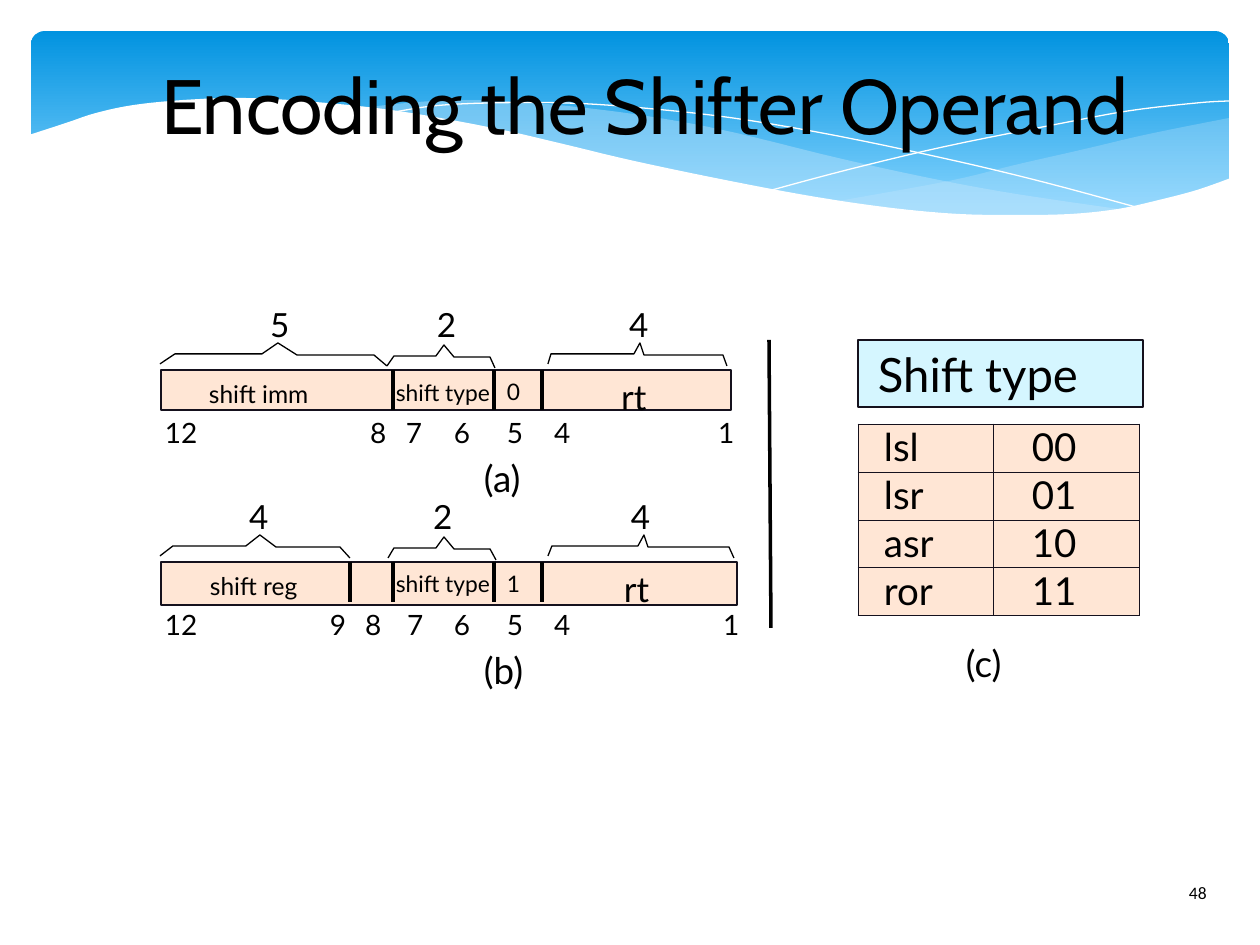
from dataclasses import dataclass

import pptx
import pptx.dml.color
import pptx.enum.shapes
import pptx.enum.text
import pptx.oxml
import pptx.oxml.ns
import pptx.util

RGBColor = pptx.dml.color.RGBColor
Point = tuple[float, float]

BLACK = RGBColor(0x00, 0x00, 0x00)
WHITE = RGBColor(0xFF, 0xFF, 0xFF)
OUTLINE = RGBColor(0x15, 0x11, 0x1D)
PEACH = RGBColor(0xFF, 0xE6, 0xD5)
AQUA = RGBColor(0xD5, 0xF6, 0xFF)
SKY_TOP = RGBColor(0x02, 0x93, 0xE0)
SKY_BOTTOM = RGBColor(0x83, 0xD3, 0xFE)
WAVE = RGBColor(0xC6, 0xE7, 0xFC)
PIXELS_PER_INCH = 126
BODY_FONT = "Lato"


@dataclass
class Label:
    left: int
    top: int
    text: str
    size: int


@dataclass
class Brace:
    xs: list[int]
    drop: int = 0


@dataclass
class Encoding:
    top: int
    width: int
    height: int
    dividers: list[int]
    braces: list[Brace]
    counts: list[tuple[int, str]]
    bits: list[tuple[int, str]]
    fields: list[Label]
    caption: str


ENCODINGS = [
    Encoding(370, 570, 40, [393, 494, 542],
             [Brace([160, 175, 262, 278, 297, 374, 387]),
              Brace([387, 394, 436, 444, 454, 490, 495], 2),
              Brace([548, 551, 634, 640, 644, 723, 727])],
             [(270, "5"), (437, "2"), (629, "4")],
             [(165, "12"), (370, "8"), (406, "7"), (454, "6"), (507, "5"), (554, "4"), (718, "1")],
             [Label(209, 9, "shift imm", 14), Label(396, 9, "shift type", 13),
              Label(507, 8, "0", 13), Label(621, 5, "rt", 20)], "(a)"),
    Encoding(562, 576, 43, [350, 393, 494, 542],
             [Brace([160, 173, 246, 260, 276, 340, 350]),
              Brace([388, 394, 436, 444, 454, 490, 496], 2),
              Brace([548, 552, 638, 644, 648, 729, 734])],
             [(249, "4"), (433, "2"), (631, "4")],
             [(165, "12"), (330, "9"), (365, "8"), (407, "7"), (454, "6"), (507, "5"),
              (554, "4"), (723, "1")],
             [Label(210, 9, "shift reg", 14), Label(396, 8, "shift type", 13),
              Label(507, 8, "1", 13), Label(624, 5, "rt", 20)], "(b)"),
]
BRACE_RISE = [-6, -16, -16, -27, -15, -15, -4]
SHIFT_CODES = [("lsl", "00"), ("lsr", "01"), ("asr", "10"), ("ror", "11")]

RIGHT_WAVE_TOP = [(1229, 118), (1149, 134), (1085, 149), (1015, 165), (949, 181), (833, 202)]
RIGHT_WAVE_BOTTOM = [(833, 202), (922, 211), (1012, 217), (1100, 214), (1160, 202),
                     (1196, 191), (1229, 179)]
LEFT_WAVE_TOP = [(1125, 210), (1016, 194), (934, 179), (842, 159), (736, 133), (665, 119),
                 (586, 108), (503, 101), (433, 101), (360, 108)]
LEFT_WAVE_BOTTOM = [(360, 108), (456, 122), (566, 146), (713, 180), (819, 199), (911, 212),
                    (989, 217), (1043, 218), (1125, 210)]
FALLING_LINE = [(389, 113), (433, 106), (488, 103), (567, 103), (643, 108), (733, 118),
                (838, 136), (956, 161), (1047, 183), (1143, 209)]
RISING_LINE = [(772, 190), (847, 170), (943, 147), (1053, 125), (1128, 111), (1197, 103),
               (1229, 101)]
LOWER_EDGE = [(1231, 178), (1197, 190), (1159, 200), (1118, 209), (1071, 214), (1019, 215),
              (959, 214), (892, 208), (816, 197), (730, 181), (634, 161), (563, 144), (493, 128),
              (398, 111), (315, 102), (243, 98), (184, 100), (134, 105), (96, 113), (66, 123),
              (29, 135)]


def px(value: float) -> int:
    return round(value * 914400 / PIXELS_PER_INCH)


def smooth(points: list[Point], steps: int = 5) -> list[Point]:
    """Run a Catmull-Rom curve through the points."""
    padded = [points[0], *points, points[-1]]
    curve = [points[0]]
    for a, b, c, d in zip(padded, padded[1:], padded[2:], padded[3:]):
        for step in range(1, steps + 1):
            t = step / steps
            curve.append(tuple(
                b[i] + t / 2 * (c[i] - a[i] + t * (2 * a[i] - 5 * b[i] + 4 * c[i] - d[i]
                                                  + t * (3 * (b[i] - c[i]) + d[i] - a[i])))
                for i in (0, 1)))
    return curve


def style(shape, fill: RGBColor | None, line: RGBColor | None, alpha: int = 100) -> None:
    shape.shadow.inherit = False
    if fill is None:
        shape.fill.background()
    else:
        shape.fill.solid()
        shape.fill.fore_color.rgb = fill
        if alpha < 100:
            color = shape.fill._xPr.find(".//" + pptx.oxml.ns.qn("a:srgbClr"))
            color.append(pptx.oxml.parse_xml(
                f'<a:alpha {pptx.oxml.ns.nsdecls("a")} val="{alpha * 1000}"/>'))
    if line is None:
        shape.line.fill.background()
    else:
        shape.line.color.rgb = line
        shape.line.width = pptx.util.Pt(0)


def add_outline(points: list[Point], fill: RGBColor | None = None,
                line: RGBColor | None = None, alpha: int = 100) -> None:
    corners = [(px(x), px(y)) for x, y in points]
    builder = slide.shapes.build_freeform(*corners[0], scale=1.0)
    builder.add_line_segments(corners[1:], close=fill is not None)
    style(builder.convert_to_shape(), fill, line, alpha)


def add_box(left: int, top: int, width: int, height: int, fill: RGBColor) -> None:
    box = slide.shapes.add_shape(pptx.enum.shapes.MSO_SHAPE.RECTANGLE,
                                 px(left), px(top), px(width), px(height))
    style(box, fill, OUTLINE)


def add_line(x1: int, y1: int, x2: int, y2: int) -> None:
    line = slide.shapes.add_connector(pptx.enum.shapes.MSO_CONNECTOR.STRAIGHT,
                                      px(x1), px(y1), px(x2), px(y2))
    line.line.color.rgb = BLACK
    line.line.width = pptx.util.Pt(0)
    line._element.spPr.append(pptx.oxml.parse_xml(
        f'<a:effectLst {pptx.oxml.ns.nsdecls("a")}/>'))


def format_runs(text_frame, size: int, font: str = BODY_FONT) -> None:
    for paragraph in text_frame.paragraphs:
        for run in paragraph.runs:
            run.font.size = pptx.util.Pt(size)
            run.font.name = font
            run.font.bold = False
            run.font.color.rgb = BLACK


def clear_margins(text_frame) -> None:
    text_frame.margin_left = text_frame.margin_right = 0
    text_frame.margin_top = text_frame.margin_bottom = 0


def add_label(left: int, top: int, text: str, size: int, font: str = BODY_FONT) -> None:
    box = slide.shapes.add_textbox(px(left), px(top), px((len(text) + 1) * size * 0.9),
                                   px(size * 2.3))
    clear_margins(box.text_frame)
    box.text_frame.word_wrap = False
    box.text_frame.text = text
    format_runs(box.text_frame, size, font)


def add_encoding(encoding: Encoding) -> None:
    top = encoding.top
    add_box(161, top, encoding.width, encoding.height, PEACH)
    for x in encoding.dividers:
        add_line(x, top, x, top + 40)
    for brace in encoding.braces:
        add_outline([(x, top + rise + brace.drop) for x, rise in zip(brace.xs, BRACE_RISE)],
                    line=BLACK)
    for left, text in encoding.counts:
        add_label(left, top - 66, text, 19)
    for left, text in encoding.bits:
        add_label(left, top + 46, text, 16)
    for field in encoding.fields:
        add_label(field.left, top + field.top, field.text, field.size)
    add_label(484, top + 86, encoding.caption, 21)


def add_shift_table() -> None:
    table = slide.shapes.add_table(len(SHIFT_CODES), 2, px(858), px(424), px(281), px(192)).table
    table.first_row = table.horz_banding = False
    for column, width in zip(table.columns, (135, 146)):
        column.width = px(width)
    for row, texts in enumerate(SHIFT_CODES):
        table.rows[row].height = px(48)
        for column, (text, indent) in enumerate(zip(texts, (26, 39))):
            cell = table.cell(row, column)
            clear_margins(cell)
            cell.margin_left = px(indent)
            cell.text_frame.text = text
            format_runs(cell.text_frame, 22)
            for side in "LRTB":
                cell._tc.get_or_add_tcPr().append(pptx.oxml.parse_xml(
                    f'<a:ln{side} {pptx.oxml.ns.nsdecls("a")} w="6350"><a:solidFill>'
                    f'<a:srgbClr val="{OUTLINE}"/></a:solidFill></a:ln{side}>'))
            cell.fill.solid()
            cell.fill.fore_color.rgb = PEACH


presentation = pptx.Presentation()
presentation.slide_width, presentation.slide_height = px(1260), px(945)
slide = presentation.slides.add_slide(presentation.slide_layouts[5])

# Header band with waves
band = slide.shapes.add_shape(pptx.enum.shapes.MSO_SHAPE.ROUNDED_RECTANGLE,
                              px(31), px(31), px(1198), px(197))
band.adjustments[0] = 0.07
style(band, SKY_TOP, None)
band.fill.gradient()
band.fill.gradient_angle = 270
for stop, color, position in zip(band.fill.gradient_stops, (SKY_TOP, SKY_BOTTOM), (0, 0.9)):
    stop.color.rgb = color
    stop.position = position
add_outline(smooth(RIGHT_WAVE_TOP) + smooth(RIGHT_WAVE_BOTTOM), WAVE, alpha=29)
add_outline(smooth(LEFT_WAVE_TOP) + smooth(LEFT_WAVE_BOTTOM), WAVE, alpha=40)
add_outline(smooth(FALLING_LINE), line=WHITE)
add_outline(smooth(RISING_LINE), line=WHITE)
add_outline(smooth(LOWER_EDGE) + [(29, 282), (1231, 282)], WHITE)

# Title, in front of the band
title = slide.shapes.title
title.left, title.top, title.width, title.height = px(134), px(39), px(1022), px(129)
clear_margins(title.text_frame)
title.text_frame.vertical_anchor = pptx.enum.text.MSO_ANCHOR.MIDDLE
title.text_frame.text = "Encoding the Shifter Operand"
title.text_frame.paragraphs[0].alignment = pptx.enum.text.PP_ALIGN.CENTER
format_runs(title.text_frame, 44, "Cabin")
title._element.getparent().append(title._element)

# Operand encodings
for operand_encoding in ENCODINGS:
    add_encoding(operand_encoding)
add_line(769, 340, 771, 628)

# Shift type codes
add_box(858, 340, 285, 67, AQUA)
add_label(878, 345, "Shift type", 27)
add_shift_table()
add_label(966, 641, "(c)", 21)

# Slide number
add_label(1189, 882, "48", 10, "Calibri")

presentation.save("out.pptx")
